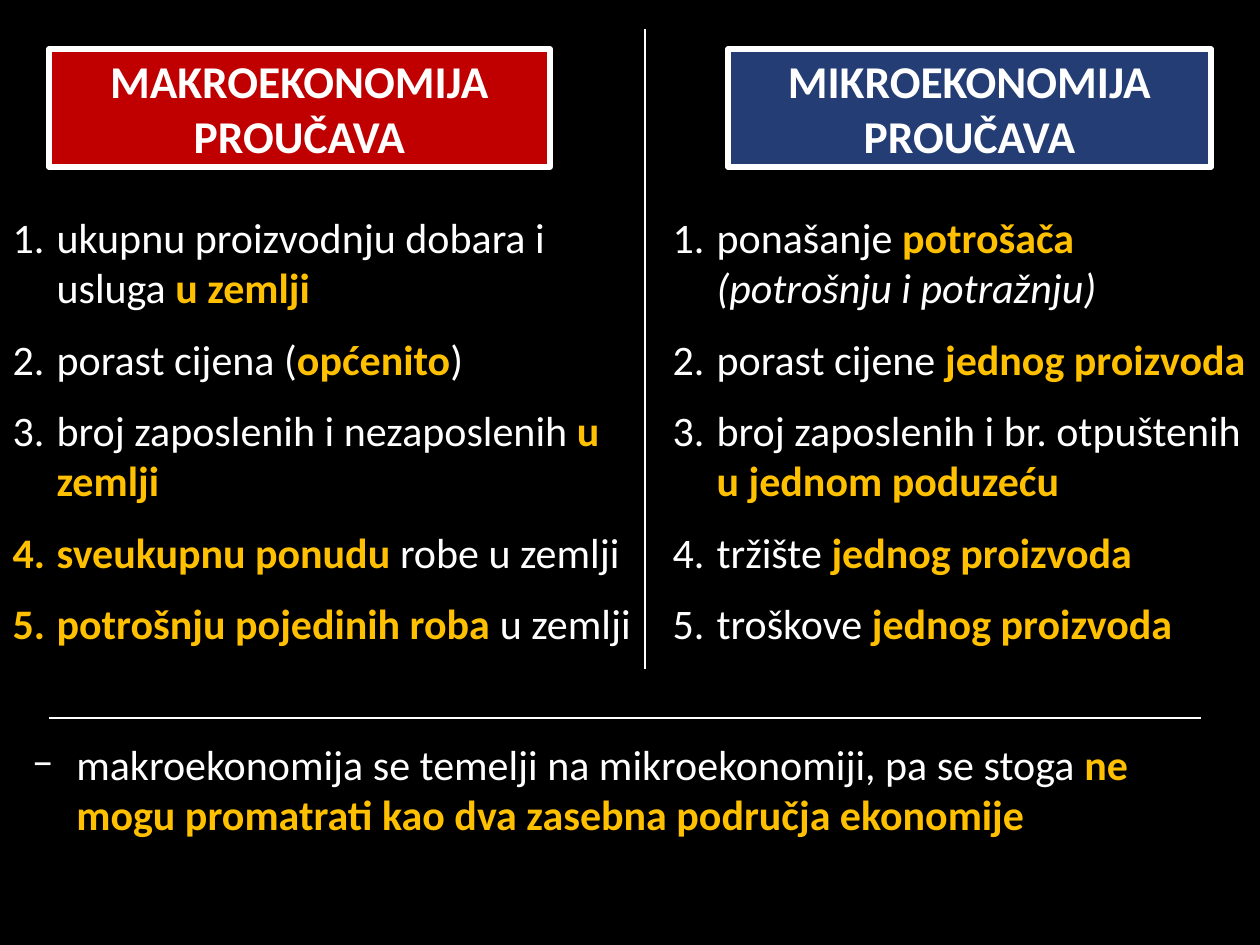
from lxml import etree
from pptx import Presentation
from pptx import util as u
from pptx.dml.color import RGBColor
from pptx.enum import shapes, text
from pptx.oxml.ns import qn

SCALE = 914400 / 126
COLORS = {"background": "000000", "plain": "FFFFFF", "accent": "FFC000",
          "macro": "C00000", "micro": "253D75"}


def px(*lengths):
    return [u.Emu(round(length * SCALE)) for length in lengths]


def fill_list(shape, box, items, bullet_tag, **bullet):
    shape.left, shape.top, shape.width, shape.height = px(*box)
    frame = shape.text_frame
    frame.word_wrap = True
    frame.auto_size = text.MSO_AUTO_SIZE.SHAPE_TO_FIT_TEXT
    for index, item in enumerate(items):
        paragraph = frame.add_paragraph() if index else frame.paragraphs[0]
        paragraph.space_before = u.Pt(12)
        properties = paragraph._p.get_or_add_pPr()
        indent = px(44)[0]
        properties.set("marL", str(indent))
        properties.set("indent", str(-indent))
        etree.SubElement(properties, qn("a:buFont"), typeface="Calibri")
        etree.SubElement(properties, qn(bullet_tag), **bullet)
        for words, style in item:
            run = paragraph.add_run()
            run.text = words
            font = run.font
            font.name = "Calibri"
            font.size = u.Pt(24)
            font.bold = style == "accent"
            font.italic = style == "italic"
            font.color.rgb = RGBColor.from_string(COLORS.get(style, COLORS["plain"]))


presentation = Presentation()
presentation.slide_width = u.Inches(10)
presentation.slide_height = u.Inches(7.5)
slide = presentation.slides.add_slide(presentation.slide_layouts[3])
slide.background.fill.solid()
slide.background.fill.fore_color.rgb = RGBColor.from_string(COLORS["background"])
title = slide.shapes.title
title.element.getparent().remove(title.element)

headings = [
    ("MAKROEKONOMIJA PROUČAVA", "macro", 49, 501),
    ("MIKROEKONOMIJA PROUČAVA", "micro", 728, 483),
]
for words, color, left, width in headings:
    heading = slide.shapes.add_shape(shapes.MSO_SHAPE.RECTANGLE, *px(left, 49, width, 118))
    heading.shadow.inherit = False
    heading.fill.solid()
    heading.fill.fore_color.rgb = RGBColor.from_string(COLORS[color])
    heading.line.color.rgb = RGBColor.from_string(COLORS["plain"])
    heading.line.width = u.Pt(3)
    heading.text_frame.vertical_anchor = text.MSO_ANCHOR.MIDDLE
    paragraph = heading.text_frame.paragraphs[0]
    paragraph.alignment = text.PP_ALIGN.CENTER
    run = paragraph.add_run()
    run.text = words
    run.font.name = "Calibri"
    run.font.size = u.Pt(26)
    run.font.bold = True
    run.font.color.rgb = RGBColor.from_string(COLORS["plain"])

macro_items = [
    [("ukupnu proizvodnju dobara i usluga ", "plain"), ("u zemlji", "accent")],
    [("porast cijena (", "plain"), ("općenito", "accent"), (")", "plain")],
    [("broj zaposlenih i nezaposlenih ", "plain"), ("u zemlji", "accent")],
    [("sveukupnu ponudu ", "accent"), ("robe u zemlji", "plain")],
    [("potrošnju pojedinih roba ", "accent"), ("u zemlji", "plain")],
]
micro_items = [
    [("ponašanje ", "plain"), ("potrošača ", "accent"), ("(potrošnju i potražnju)", "italic")],
    [("porast cijene ", "plain"), ("jednog proizvoda", "accent")],
    [("broj zaposlenih i br. otpuštenih ", "plain"), ("u jednom poduzeću", "accent")],
    [("tržište ", "plain"), ("jednog proizvoda", "accent")],
    [("troškove ", "plain"), ("jednog proizvoda", "accent")],
]
conclusion_items = [
    [("makroekonomija se temelji na mikroekonomiji, pa se stoga ", "plain"),
     ("ne mogu promatrati kao dva zasebna područja ekonomije", "accent")],
]
columns = [(1, 0, 650, macro_items), (2, 660, 605, micro_items)]
for index, left, width, items in columns:
    fill_list(slide.placeholders[index], (left, 205, width, 454), items,
              "a:buAutoNum", type="arabicPeriod")

conclusion_box = (20, 732, 1172, 115)
conclusion = slide.shapes.add_textbox(*px(*conclusion_box))
fill_list(conclusion, conclusion_box, conclusion_items, "a:buChar", char="−")

for ends in [(645, 29, 645, 669), (49, 718, 1201, 718)]:
    divider = slide.shapes.add_connector(shapes.MSO_CONNECTOR.STRAIGHT, *px(*ends))
    divider.line.color.rgb = RGBColor.from_string(COLORS["plain"])
    divider.line.width = u.Pt(0.75)
    etree.SubElement(divider.element.spPr, qn("a:effectLst"))

presentation.save("out.pptx")
